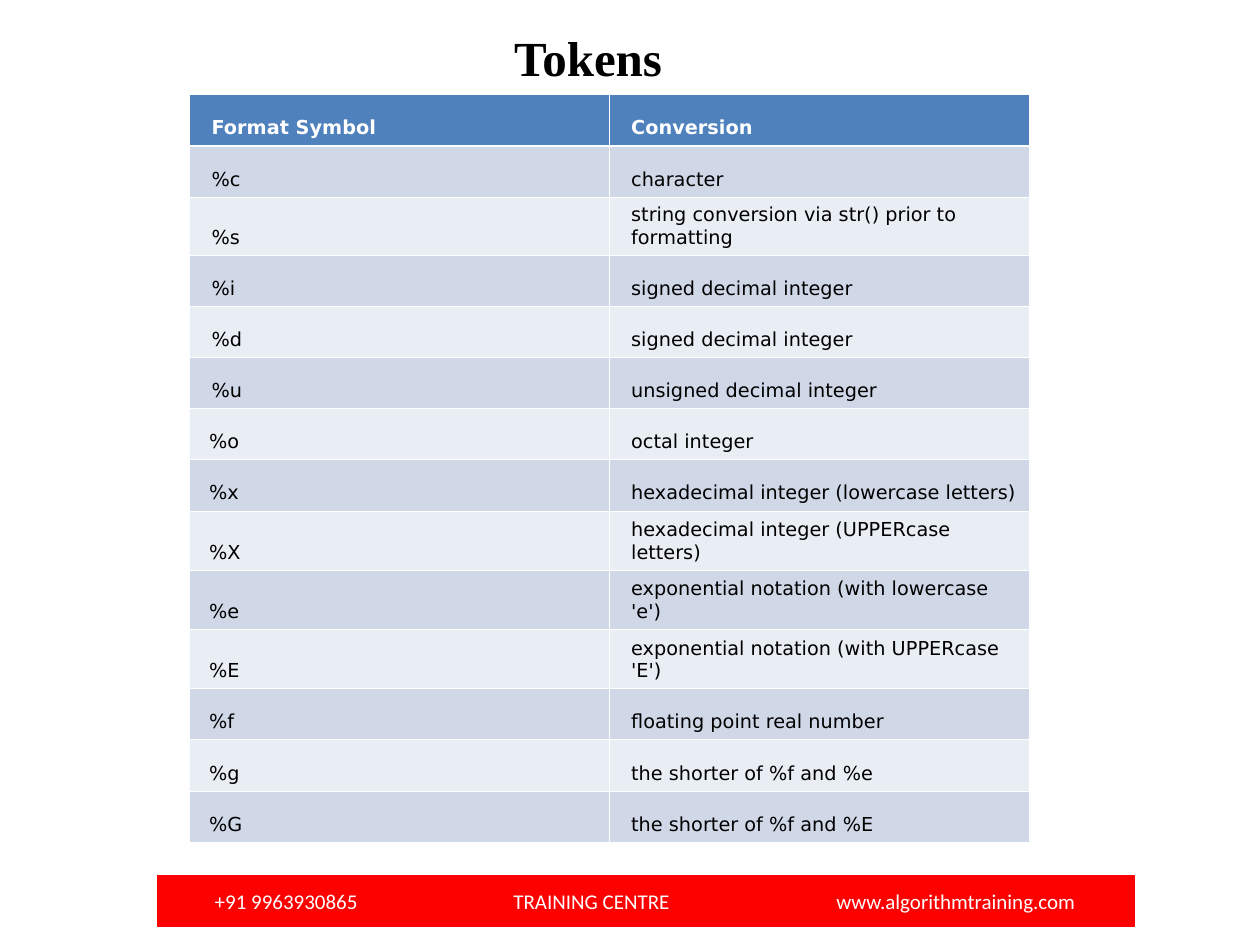
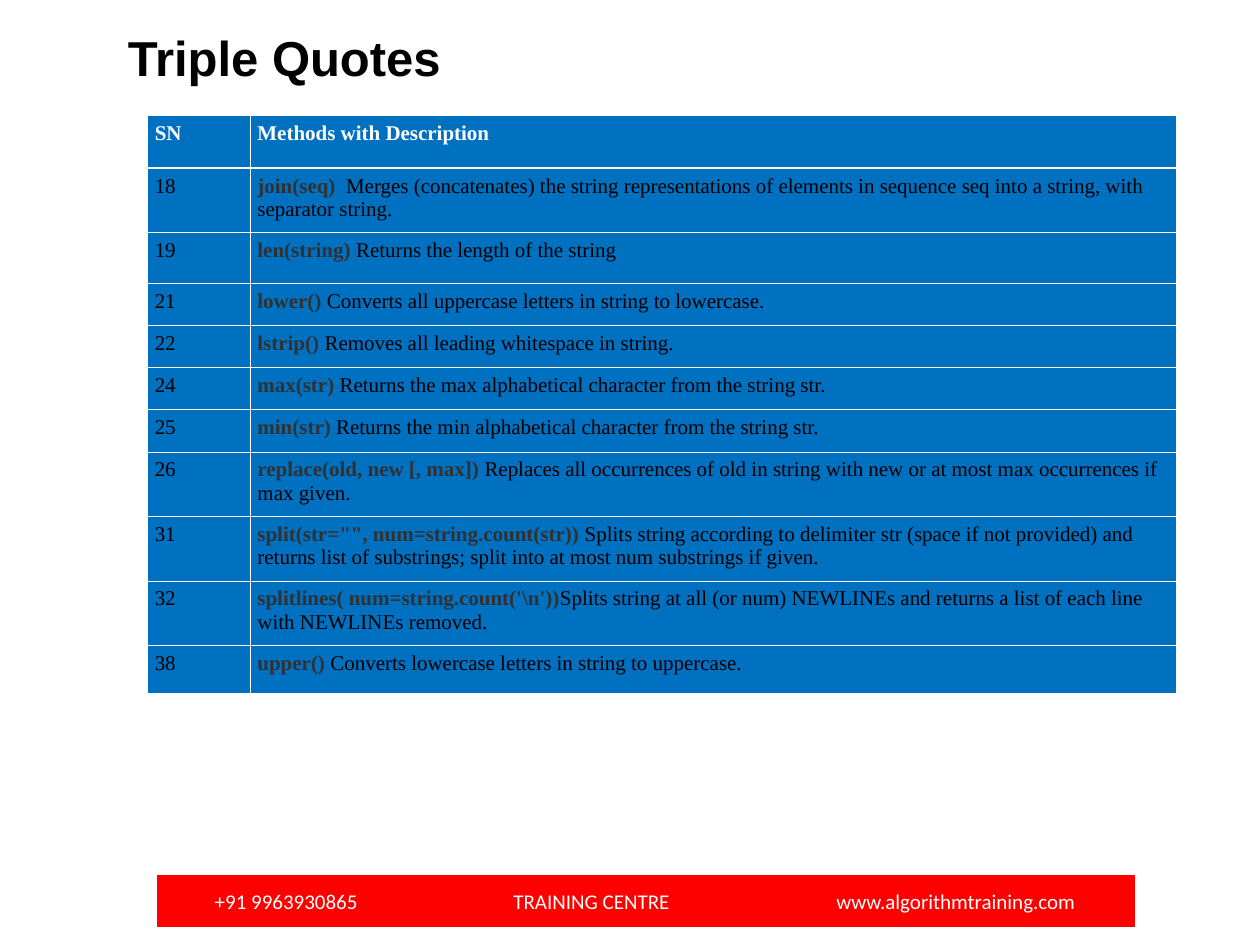
from lxml.etree import SubElement
from pptx import Presentation
from pptx.dml.color import RGBColor
from pptx.enum.shapes import MSO_SHAPE
from pptx.enum.text import MSO_ANCHOR, MSO_AUTO_SIZE, PP_ALIGN
from pptx.oxml.ns import qn
from pptx.util import Cm, Pt

COLORS = {
    "white": "FFFFFF", "black": "000000", "footer": "FD0000",
    "header": "4F81BD", "odd": "D0D8E8", "even": "E9EDF4",
    "method_fill": "0070C0", "method_name": "313131",
}

FOOTER = ["+91 9963930865", "TRAINING CENTRE", "www.algorithmtraining.com"]
FOOTER_TABS = [6.02, 12.53]

FORMAT_ROWS = [
    ("Format Symbol", "Conversion"),
    ("%c", "character"),
    ("%s", "string conversion via str() prior to formatting"),
    ("%i", "signed decimal integer"),
    ("%d", "signed decimal integer"),
    ("%u", "unsigned decimal integer"),
    ("%o", "octal integer"),
    ("%x", "hexadecimal integer (lowercase letters)"),
    ("%X", "hexadecimal integer (UPPERcase letters)"),
    ("%e", "exponential notation (with lowercase 'e')"),
    ("%E", "exponential notation (with UPPERcase 'E')"),
    ("%f", "floating point real number"),
    ("%g", "the shorter of %f and %e"),
    ("%G", "the shorter of %f and %E"),
]
FIXED_SPACING_ROWS = 6

METHOD_HEADER = ("SN", "Methods with Description")
METHODS = [
    ("18", "join(seq)  ", "Merges (concatenates) the string representations of elements in "
     "sequence seq into a string, with separator string.", 1.3),
    ("19", "len(string) ", "Returns the length of the string", 1.02),
    ("21", "lower() ", "Converts all uppercase letters in string to lowercase.", 0.85),
    ("22", "lstrip() ", "Removes all leading whitespace in string.", 0.85),
    ("24", "max(str) ", "Returns the max alphabetical character from the string str.", 0.85),
    ("25", "min(str) ", "Returns the min alphabetical character from the string str.", 0.85),
    ("26", "replace(old, new [, max]) ", "Replaces all occurrences of old in string with new "
     "or at most max occurrences if max given.", 1.3),
    ("31", 'split(str="", num=string.count(str)) ', "Splits string according to delimiter str "
     "(space if not provided) and returns list of substrings; split into at most num "
     "substrings if given.", 1.3),
    ("32", "splitlines( num=string.count('\\n'))", "Splits string at all (or num) NEWLINEs and "
     "returns a list of each line with NEWLINEs removed.", 1.3),
    ("38", "upper() ", "Converts lowercase letters in string to uppercase.", 0.97),
]


def rgb(name):
    return RGBColor.from_string(COLORS[name])


def write(frame, text, font="Times New Roman", size=12, color="black", bold=False,
          align=PP_ALIGN.LEFT, spacing=None, indent=0, tabs=()):
    para = frame.paragraphs[0]
    properties = para._p.get_or_add_pPr()
    if indent:
        properties.set("marL", str(Cm(indent)))
        properties.set("indent", "0")
    if tabs:
        tab_list = SubElement(properties, qn("a:tabLst"))
        for stop in tabs:
            SubElement(tab_list, qn("a:tab"), pos=str(Cm(stop)), algn="l")
    para.alignment = align
    if spacing:
        para.line_spacing = spacing
    spans = [(text, color, bold)] if isinstance(text, str) else text
    for words, span_color, span_bold in spans:
        span = para.add_run()
        span.text = words
        span.font.name = font
        span.font.size = Pt(size)
        span.font.bold = span_bold
        span.font.color.rgb = rgb(span_color)


def add_page(deck, title, **title_format):
    page = deck.slides.add_slide(deck.slide_layouts[6])
    box = page.shapes.add_textbox(Cm(2.33), Cm(0.43), Cm(19.05), Cm(1.45))
    box.text_frame.word_wrap = True
    box.text_frame.auto_size = MSO_AUTO_SIZE.SHAPE_TO_FIT_TEXT
    write(box.text_frame, title, size=28, bold=True, **title_format)

    band = page.shapes.add_shape(MSO_SHAPE.RECTANGLE, Cm(3.18), Cm(17.65), Cm(19.69), Cm(1.02))
    band.shadow.inherit = False
    band.fill.solid()
    band.fill.fore_color.rgb = rgb("footer")
    band.line.color.rgb = rgb("footer")
    band.line.width = Pt(0.75)
    band.text_frame.margin_left = Cm(1.15)
    band.text_frame.vertical_anchor = MSO_ANCHOR.MIDDLE
    band.text_frame.word_wrap = True
    write(band.text_frame, "\t".join(FOOTER), font="Calibri", color="white", tabs=FOOTER_TABS)
    return page


def add_grid(page, left, top, widths, heights):
    table = page.shapes.add_table(len(heights), len(widths), Cm(left), Cm(top),
                                  Cm(sum(widths)), Cm(sum(heights))).table
    table.horz_banding = False
    for column, width in zip(table.columns, widths):
        column.width = Cm(width)
    for row, height in zip(table.rows, heights):
        row.height = Cm(height)
    return table


def style_cell(cell, row, fill):
    properties = cell._tc.get_or_add_tcPr()
    thick_sides = {0: "lnB", 1: "lnT"}
    for side in ("lnL", "lnR", "lnT", "lnB"):
        width = 1.47 if thick_sides.get(row) == side else 0.45
        line = SubElement(properties, qn(f"a:{side}"), w=str(Pt(width)))
        SubElement(SubElement(line, qn("a:solidFill")), qn("a:srgbClr"), val=COLORS["white"])
    cell.fill.solid()
    cell.fill.fore_color.rgb = rgb(fill)


def build_tokens(deck):
    page = add_page(deck, "Tokens", align=PP_ALIGN.CENTER)
    table = add_grid(page, 3.81, 1.91, [8.48, 8.46], [1.03] * len(FORMAT_ROWS))
    for row, texts in enumerate(FORMAT_ROWS):
        fixed = row < FIXED_SPACING_ROWS
        indents = (0.2 if fixed else 0.15, 0.18)
        fill = "header" if row == 0 else "odd" if row % 2 else "even"
        for column, text in enumerate(texts):
            cell = table.cell(row, column)
            style_cell(cell, row, fill)
            cell.vertical_anchor = MSO_ANCHOR.BOTTOM
            write(cell.text_frame, text, font="DejaVu Sans", size=11, bold=row == 0,
                  color="white" if row == 0 else "black", indent=indents[column],
                  spacing=Pt(13.1) if fixed else 1.01)


def build_methods(deck):
    page = add_page(deck, "Triple Quotes", font="Arial")
    heights = [1.06] + [height for *_, height in METHODS]
    table = add_grid(page, 2.97, 2.33, [2.07, 18.67], heights)
    rows = [METHOD_HEADER] + [
        (number, [(name, "method_name", True), (description, "black", False)])
        for number, name, description, _ in METHODS
    ]
    for row, texts in enumerate(rows):
        for column, text in enumerate(texts):
            cell = table.cell(row, column)
            style_cell(cell, row, "method_fill")
            cell.margin_left = cell.margin_right = Cm(0.15)
            write(cell.text_frame, text, bold=row == 0, color="white" if row == 0 else "black")


def main():
    deck = Presentation()
    deck.slide_width, deck.slide_height = Cm(25.4), Cm(19.05)
    build_tokens(deck)
    build_methods(deck)
    deck.save("out.pptx")


if __name__ == "__main__":
    main()
